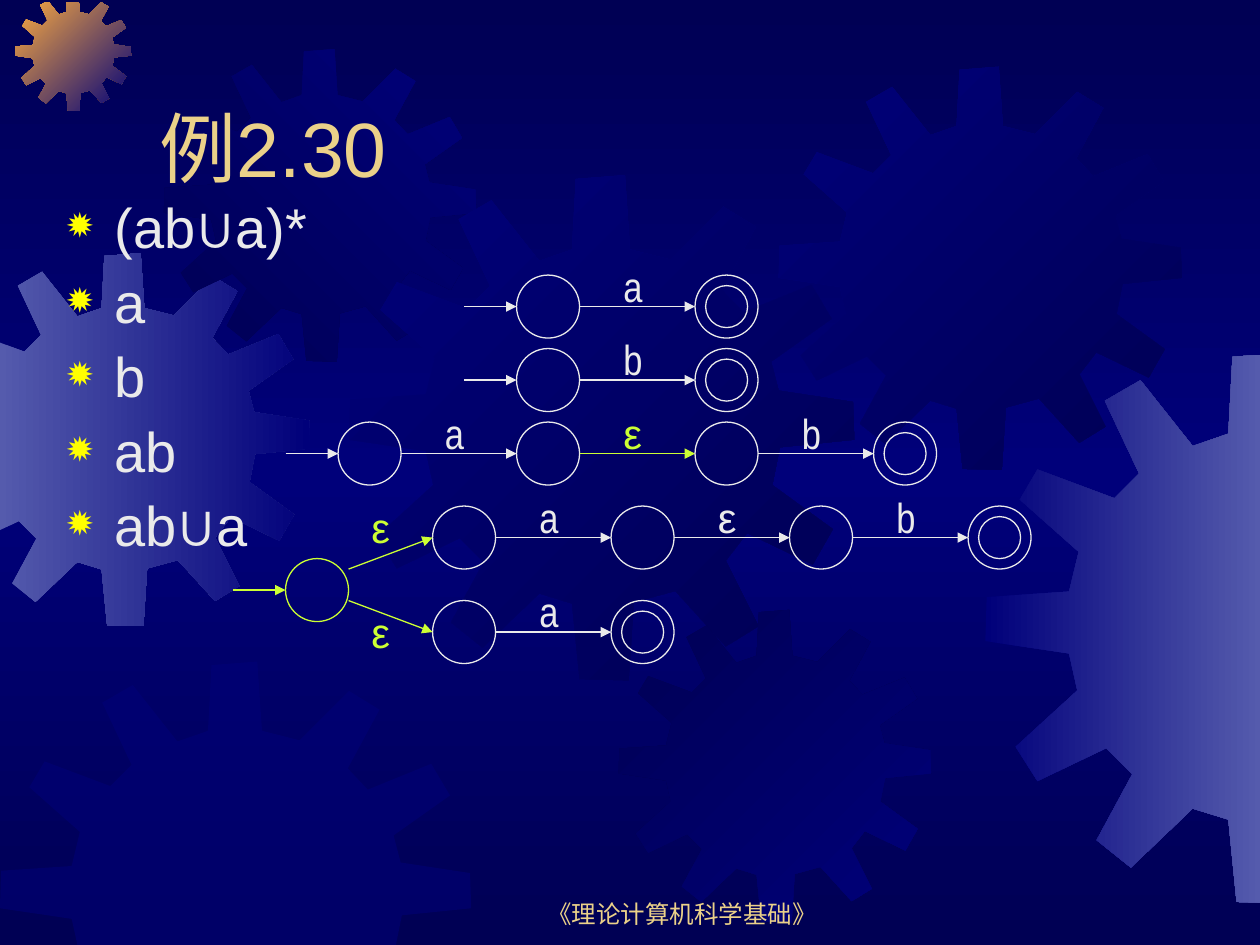
import copy
from dataclasses import dataclass

import pptx
import pptx.dml.color
import pptx.enum.shapes
import pptx.enum.text
import pptx.oxml
import pptx.oxml.ns
import pptx.util

Point = tuple[float, float]


@dataclass(frozen=True)
class Theme:
    night: str = "000054"
    navy: str = "00007A"
    steel: str = "555BAD"
    orange: str = "FCAB40"
    gold: str = "EBD189"
    chalk: str = "EAEAEA"
    lime: str = "CCFF33"
    bullet: str = "FFFF00"
    font: str = "Arial"
    narrow: str = "Arial Narrow"
    title_size: int = 44
    body_size: int = 32
    label_size: int = 24
    footer_size: int = 14
    line_width: float = 0.75


@dataclass(frozen=True)
class Gear:
    left: float
    top: float
    size: float
    colors: tuple[str, ...]
    angle: int = 0


@dataclass(frozen=True)
class Chain:
    column: int
    row: int
    labels: str
    entry: bool = True
    accent: str = ""


THEME = Theme()
WIDTH, HEIGHT = 10, 7.5
ORIGIN, CELL = 0.1, 1 / 12
STATE, RING, STEP, ENTRY = 6, 4, 17, 5
BOUNDS = ((0, -0.01, 1), (0, 10.01, -1), (1, 0.02, 1), (1, 7.54, -1))
GEAR_SPAN = 401
GEAR_OUTLINE = (
    (255, 67), (223, 59), (219, 0), (180, 3), (177, 59), (151, 68), (113, 20), (87, 35),
    (112, 88), (94, 106), (38, 85), (25, 107), (68, 145), (61, 174), (1, 178), (0, 210),
    (61, 219), (67, 246), (22, 287), (38, 312), (88, 288), (107, 307), (81, 355), (106, 375),
    (151, 332), (177, 340), (183, 400), (222, 401), (226, 339), (259, 330), (299, 374), (325, 358),
    (299, 306), (316, 284), (368, 309), (384, 281), (336, 246), (342, 216), (401, 210), (400, 180),
    (341, 171), (335, 148), (383, 114), (367, 87), (313, 109), (296, 91), (323, 41), (297, 25),
)
GEARS = (
    Gear(-0.5, 2.01, 2.96, (THEME.steel, THEME.navy)),
    Gear(0.12, -0.04, 0.92, (THEME.orange, THEME.navy), 45),
    Gear(1.3, 0.39, 2.48, (THEME.night, THEME.navy), 315),
    Gear(2.77, 1.39, 4.01, (THEME.navy, THEME.night), 45),
    Gear(0, 5.25, 3.74, (THEME.navy,)),
    Gear(4.91, 4.84, 2.48, (THEME.night, THEME.navy), 45),
    Gear(6.18, 0.53, 3.2, (THEME.navy, THEME.night), 45),
    Gear(7.82, 2.8, 4.37, (THEME.navy, THEME.steel)),
)
CHAINS = (
    Chain(48, 25, "a"),
    Chain(48, 32, "b"),
    Chain(31, 39, "aεb", accent="ε"),
    Chain(40, 47, "aεb", entry=False),
    Chain(40, 56, "a", entry=False),
)


def rgb(color: str) -> pptx.dml.color.RGBColor:
    return pptx.dml.color.RGBColor.from_string(color)


def grid(cells: float) -> int:
    return pptx.util.Inches(ORIGIN + cells * CELL)


def add_child(parent, tag: str, **attributes: str):
    child = pptx.oxml.parse_xml(f"<{tag} {pptx.oxml.ns.nsdecls('a')}/>")
    for name, value in attributes.items():
        child.set(name, value)
    parent.append(child)
    return child


def paint_gradient(fill, colors: tuple[str, ...], angle: int) -> None:
    fill.gradient()
    first = fill.gradient_stops[0]._gs
    for _ in colors[2:]:
        first.addnext(copy.deepcopy(first))
    for index, (stop, color) in enumerate(zip(fill.gradient_stops, colors)):
        stop.color.rgb = rgb(color)
        stop.position = index / (len(colors) - 1)
    fill.gradient_angle = -angle % 360


def clip(points: list[Point], axis: int, limit: float, sign: int) -> list[Point]:
    kept = []
    for start, end in zip(points[-1:] + points[:-1], points):
        start_inside = sign * (start[axis] - limit) >= 0
        end_inside = sign * (end[axis] - limit) >= 0
        if start_inside != end_inside:
            share = (limit - start[axis]) / (end[axis] - start[axis])
            kept.append(tuple(a + share * (b - a) for a, b in zip(start, end)))
        if end_inside:
            kept.append(end)
    return kept


def draw_gear(page, gear: Gear) -> None:
    scale = gear.size / GEAR_SPAN
    points = [(gear.left + x * scale, gear.top + y * scale) for x, y in GEAR_OUTLINE]
    for bound in BOUNDS:
        points = clip(points, *bound)
    corners = [(pptx.util.Inches(x), pptx.util.Inches(y)) for x, y in points]
    builder = page.shapes.build_freeform(*corners[0])
    builder.add_line_segments(corners[1:], close=True)
    shape = builder.convert_to_shape()
    shape.shadow.inherit = False
    shape.line.fill.background()
    if len(gear.colors) > 1:
        paint_gradient(shape.fill, gear.colors, gear.angle)
    else:
        shape.fill.solid()
        shape.fill.fore_color.rgb = rgb(gear.colors[0])
        tint = shape._element.spPr.find(".//" + pptx.oxml.ns.qn("a:srgbClr"))
        add_child(tint, "a:alpha", val="50000")


def style_line(line, color: str) -> None:
    line.color.rgb = rgb(color)
    line.width = pptx.util.Pt(THEME.line_width)


def draw_circle(page, column: int, row: int, size: int, color: str) -> None:
    shape = page.shapes.add_shape(
        pptx.enum.shapes.MSO_SHAPE.OVAL, grid(column), grid(row),
        pptx.util.Inches(size * CELL), pptx.util.Inches(size * CELL))
    shape.shadow.inherit = False
    shape.fill.background()
    style_line(shape.line, color)


def draw_arrow(page, start: Point, end: Point, color: str) -> None:
    arrow = page.shapes.add_connector(
        pptx.enum.shapes.MSO_CONNECTOR.STRAIGHT, *map(grid, start + end))
    style_line(arrow.line, color)
    add_child(arrow.line._get_or_add_ln(), "a:tailEnd", type="triangle")
    add_child(arrow._element.spPr, "a:effectLst")


def draw_text(page, area: tuple[int, ...], text: str, size: int, color: str, font: str = THEME.font):
    box = page.shapes.add_textbox(*area)
    frame = box.text_frame
    frame.word_wrap = True
    frame.text = text
    for para in frame.paragraphs:
        for span in para.runs:
            span.font.name = font
            span.font.size = pptx.util.Pt(size)
            span.font.color.rgb = rgb(color)
    return frame


def draw_label(page, column: int, row: int, text: str, color: str) -> None:
    side = pptx.util.Inches(STATE * CELL)
    font = THEME.font if text == "ε" else THEME.narrow
    frame = draw_text(page, (grid(column), grid(row), side, side), text, THEME.label_size, color, font)
    frame.auto_size = pptx.enum.text.MSO_AUTO_SIZE.SHAPE_TO_FIT_TEXT
    frame.paragraphs[0].space_before = pptx.util.Pt(15)


def draw_entry(page, column: int, row: int, color: str) -> None:
    middle = row + STATE / 2
    draw_arrow(page, (column - ENTRY, middle), (column, middle), color)


def draw_chain(page, chain: Chain) -> None:
    column, middle = chain.column, chain.row + STATE / 2
    if chain.entry:
        draw_entry(page, column, chain.row, THEME.chalk)
    draw_circle(page, column, chain.row, STATE, THEME.chalk)
    for label in chain.labels:
        color = THEME.lime if label == chain.accent else THEME.chalk
        draw_arrow(page, (column + STATE, middle), (column + STEP, middle), color)
        draw_label(page, column + 9, chain.row - 2, label, color)
        column += STEP
        draw_circle(page, column, chain.row, STATE, THEME.chalk)
    draw_circle(page, column + 1, chain.row + 1, RING, THEME.chalk)


def draw_branch(page, column: int, row: int) -> None:
    draw_entry(page, column, row, THEME.lime)
    draw_circle(page, column, row, STATE, THEME.lime)
    for start_row, end_row, label_row in ((53, 50, 46), (56, 59, 56)):
        draw_arrow(page, (column + STATE, start_row), (column + 14, end_row), THEME.lime)
        draw_label(page, column + 7, label_row, "ε", THEME.lime)


def draw_wording(page) -> None:
    def area(*lengths: float) -> tuple[int, ...]:
        return tuple(pptx.util.Inches(length) for length in lengths)

    footer = draw_text(page, area(3.83, 6.92, 3.17, 0.5), "《理论计算机科学基础》", THEME.footer_size, THEME.gold)
    footer.paragraphs[0].alignment = pptx.enum.text.PP_ALIGN.CENTER
    title = draw_text(page, area(1.17, 0.33, 8.5, 1.25), "例2.30", THEME.title_size, THEME.gold)
    for frame in (footer, title):
        frame.vertical_anchor = pptx.enum.text.MSO_ANCHOR.BOTTOM
    body = draw_text(page, area(0.43, 1.54, 8.5, 3.17), "(ab∪a)*\na\nb\nab\nab∪a", THEME.body_size, THEME.chalk)
    indent = pptx.util.Inches(0.38)
    for para in body.paragraphs:
        para.line_spacing = 0.9
        para.space_before = pptx.util.Pt(8)
        properties = para._p.get_or_add_pPr()
        properties.set("marL", str(indent))
        properties.set("indent", str(-indent))
        add_child(add_child(properties, "a:buClr"), "a:srgbClr", val=THEME.bullet)
        add_child(properties, "a:buSzPct", val="80000")
        add_child(properties, "a:buChar", char="✹")


def main() -> None:
    deck = pptx.Presentation()
    deck.slide_width, deck.slide_height = pptx.util.Inches(WIDTH), pptx.util.Inches(HEIGHT)
    page = deck.slides.add_slide(deck.slide_layouts[6])
    paint_gradient(page.background.fill, (THEME.night, THEME.navy, THEME.night), 90)
    for gear in GEARS:
        draw_gear(page, gear)
    draw_wording(page)
    for chain in CHAINS:
        draw_chain(page, chain)
    draw_branch(page, 26, 52)
    deck.save("out.pptx")


if __name__ == "__main__":
    main()
